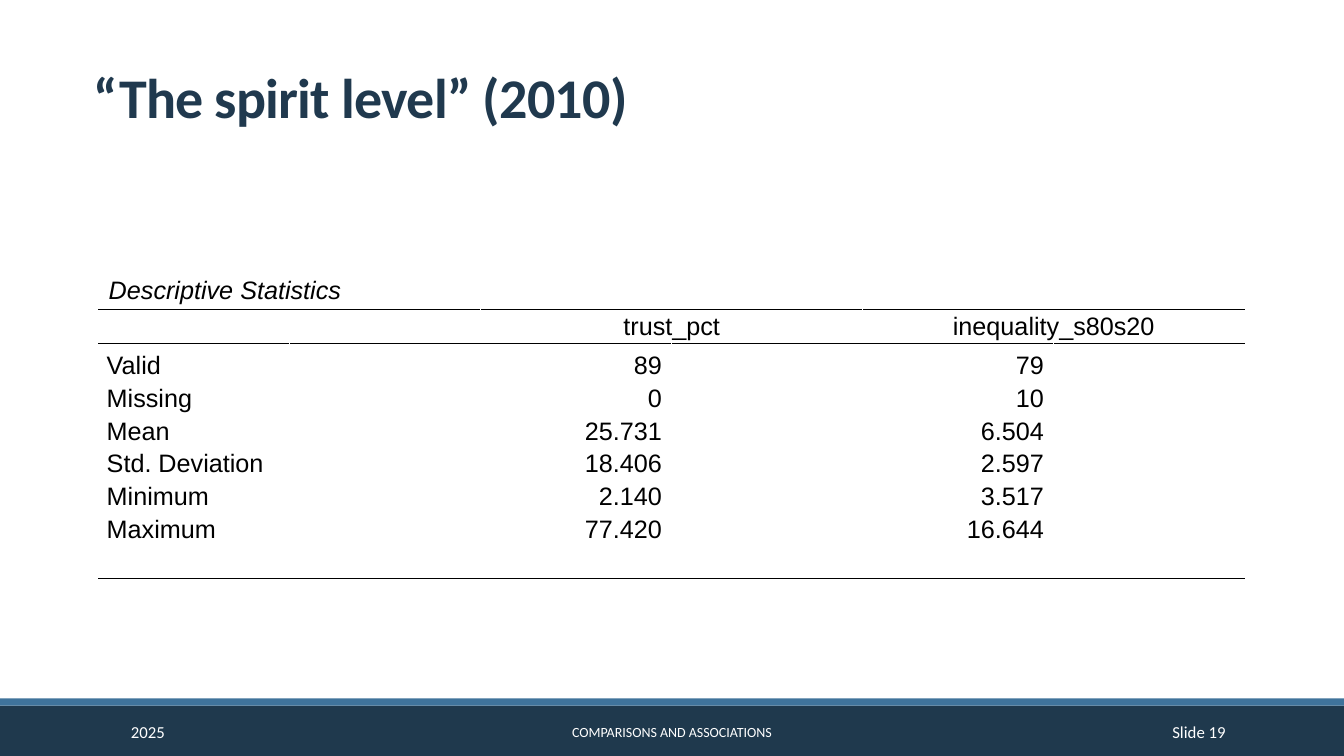
from lxml.etree import SubElement as Sub
from pptx import Presentation
from pptx.dml.color import RGBColor as Rgb
from pptx.enum.shapes import MSO_SHAPE as Shape
from pptx.enum.text import MSO_ANCHOR as Anchor, PP_ALIGN as Align
from pptx.oxml.ns import qn
from pptx.util import Cm, Pt

# Content
HUES = {"navy": "1F394D", "blue": "3F739B", "title": "20394E",
        "white": "FFFFFF", "black": "000000"}
TITLE = "“The spirit level” (2010)"
CAPTION = "Descriptive Statistics"
HEADS = ["trust_pct", "inequality_s80s20"]
STATS = [
    ("Valid", "89", "79"),
    ("Missing", "0", "10"),
    ("Mean", "25.731", "6.504"),
    ("Std. Deviation", "18.406", "2.597"),
    ("Minimum", "2.140", "3.517"),
    ("Maximum", "77.420", "16.644"),
]
# Bars: top, height, colour
BARS = [(17.78, 1.27, "navy"), (17.6, 0.18, "blue")]
# Footer: text, left, width, size, alignment
FOOT = [
    ("2025", 3.05, 6.86, 12, Align.LEFT),
    ("COMPARISONS AND ASSOCIATIONS", 10.24, 13.39, 10, Align.CENTER),
    ("Slide 19", 27.51, 3.63, 12, Align.RIGHT),
]
WIDE, HIGH = 33.87, 19.05
COLS = 6
LAST = len(STATS) + 2
ROWS = [0.97, 0.86, 0.97] + [0.8] * (LAST - 2)
# Rules: row, side, points
RULES = [(0, "B", 0.5), (1, "T", 0.5), (1, "B", 0.5), (2, "T", 0.5), (LAST, "B", 1)]


def write(frame, text, hue, align=Align.LEFT, **form):
    para = frame.paragraphs[0]
    para.alignment = align
    run = para.add_run()
    run.text = text
    for key, val in form.items():
        setattr(run.font, key, val)
    run.font.color.rgb = Rgb.from_string(HUES[hue])
    return run


def label(left, top, width, height, anchor):
    frame = slide.shapes.add_textbox(Cm(left), Cm(top), Cm(width), Cm(height)).text_frame
    frame.word_wrap = True
    frame.vertical_anchor = anchor
    return frame


def inset(cell, *sides):
    for side, val in zip(("left", "top", "right", "bottom"), sides):
        setattr(cell, "margin_" + side, Cm(val))
    cell.vertical_anchor = Anchor.MIDDLE


def rule(cell, side, size):
    line = Sub(cell._tc.get_or_add_tcPr(), qn("a:ln" + side), w=str(Pt(size)))
    Sub(Sub(line, qn("a:solidFill")), qn("a:srgbClr"), val=HUES["black"])


deck = Presentation()
deck.slide_width, deck.slide_height = Cm(WIDE), Cm(HIGH)
slide = deck.slides.add_slide(deck.slide_layouts[6])

# Bottom bars
for top, height, hue in BARS:
    bar = slide.shapes.add_shape(Shape.RECTANGLE, 0, Cm(top), Cm(WIDE), Cm(height))
    bar.shadow.inherit = False
    bar.fill.solid()
    bar.fill.fore_color.rgb = Rgb.from_string(HUES[hue])
    bar.line.fill.background()

# Title
frame = label(2.11, 0.79, 26.62, 2.54, Anchor.BOTTOM)
frame.margin_bottom = Cm(0.05)
run = write(frame, TITLE, "title", name="Calibri", size=Pt(40), bold=True)
run._r.get_or_add_rPr().set("spc", "-50")

# Footer
for text, left, width, size, align in FOOT:
    frame = label(left, 17.93, width, 1.02, Anchor.MIDDLE)
    write(frame, text, "white", align, name="Calibri", size=Pt(size))

# Table grid
grid = slide.shapes.add_table(len(ROWS), COLS, Cm(2.49), Cm(6.83),
                              Cm(28.88), Cm(sum(ROWS))).table
grid.first_row = grid.horz_banding = False
for col in grid.columns:
    col.width = Cm(28.88 / COLS)
for row, height in zip(grid.rows, ROWS):
    row.height = Cm(height)
for cell in grid.iter_cells():
    inset(cell, 0.2, 0.03, 0.25, 0.03)

# Rules, then clear fills
for row, side, size in RULES:
    for col in range(COLS):
        rule(grid.cell(row, col), side, size)
for cell in grid.iter_cells():
    cell.fill.background()

# Merged cells
for row in (0, LAST):
    grid.cell(row, 0).merge(grid.cell(row, COLS - 1))
for col in range(0, COLS, 2):
    grid.cell(1, col).merge(grid.cell(1, col + 1))

# Table text
body = {"name": "Arial", "size": Pt(18)}
cell = grid.cell(0, 0)
inset(cell, 0.25, 0.1, 0.18, 0.1)
write(cell.text_frame, CAPTION, "black", italic=True, **body)
for i, head in enumerate(HEADS, 1):
    cell = grid.cell(1, 2 * i)
    inset(cell, 0.2, 0.05, 0.2, 0.05)
    write(cell.text_frame, head, "black", Align.CENTER, **body)
for row, stat in enumerate(STATS, 2):
    for i, text in enumerate(stat):
        cell = grid.cell(row, 2 * i)
        if row == 2:
            cell.margin_top = Cm(0.18)
        write(cell.text_frame, text, "black", Align.RIGHT if i else Align.LEFT, **body)

deck.save("out.pptx")
